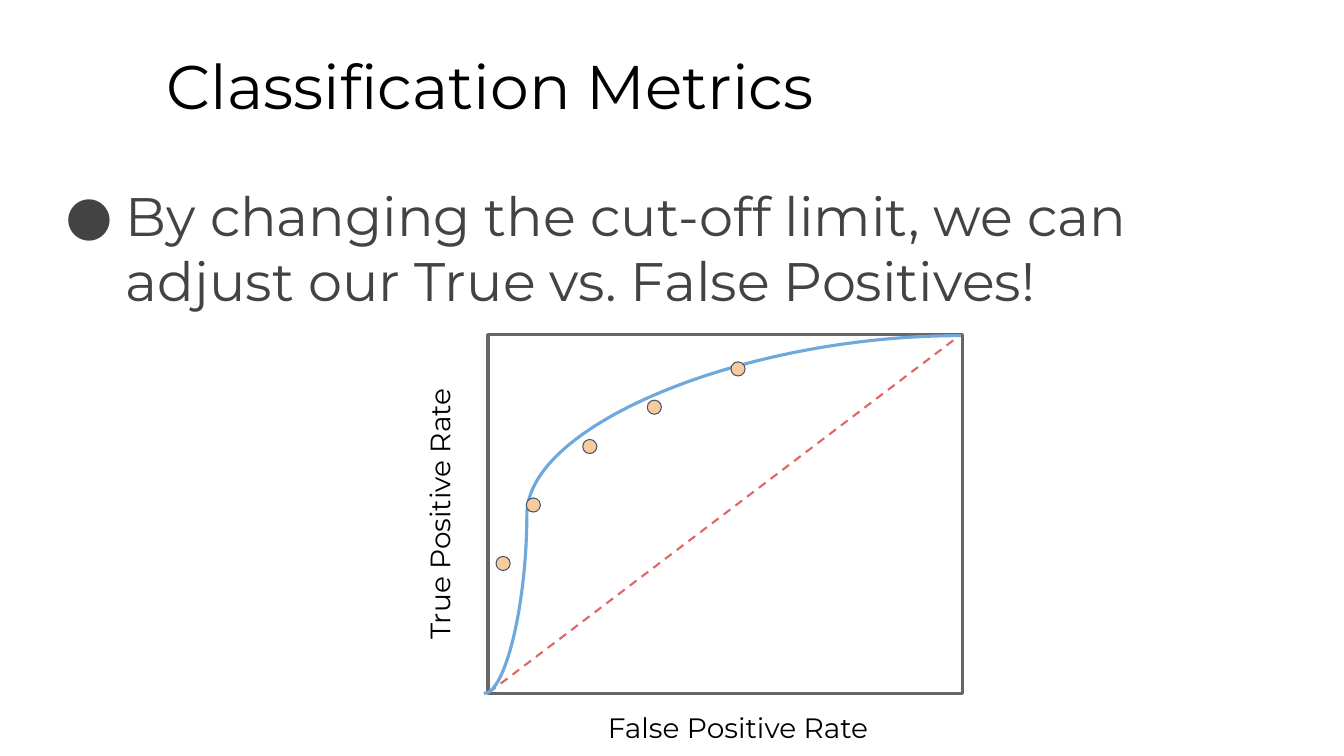
from lxml.etree import SubElement as Sub
from pptx import Presentation
from pptx.dml.color import RGBColor as Rgb
from pptx.enum.dml import MSO_LINE as Dash
from pptx.enum.shapes import MSO_CONNECTOR as Link, MSO_SHAPE as Kind
from pptx.enum.text import MSO_ANCHOR as Anchor, PP_ALIGN as Align
from pptx.oxml.ns import qn
from pptx.util import Inches, Pt

HUES = {
    "black": "000000", "text": "434343", "frame": "666666", "chance": "E06666",
    "curve": "6FA8DC", "dot": "F9CB9C", "edge": "44546A",
}
DOT = 0.14
DOTS = [(4.92, 5.52), (5.22, 4.94), (5.78, 4.36), (6.42, 3.97), (7.25, 3.59)]


def hue(name):
    return Rgb.from_string(HUES[name])


class Deck:
    font = "Montserrat"
    inset = Inches(0.13)

    def __init__(self, wide, high):
        self.prs = Presentation()
        self.prs.slide_width, self.prs.slide_height = Inches(wide), Inches(high)
        self.shapes = self.prs.slides.add_slide(self.prs.slide_layouts[6]).shapes

    def text(self, words, box, size, color="black", align=Align.LEFT,
             turn=0, space=None, bullet=None):
        item = self.shapes.add_textbox(*map(Inches, box))
        item.rotation = turn
        frame = item.text_frame
        frame.word_wrap = True
        frame.vertical_anchor = Anchor.TOP
        frame.margin_left = frame.margin_right = self.inset
        frame.margin_top = frame.margin_bottom = self.inset
        para = frame.paragraphs[0]
        para.alignment = align
        if space:
            para.line_spacing = space
        if bullet:
            self.mark(para, bullet, color)
        run = para.add_run()
        run.text = words
        run.font.name, run.font.size = self.font, Pt(size)
        run.font.color.rgb = hue(color)

    def mark(self, para, sign, color):
        """Give a paragraph a hanging bullet."""
        props = para._p.get_or_add_pPr()
        props.set("marL", str(Inches(0.67)))
        props.set("indent", str(Inches(-0.6)))
        Sub(Sub(props, qn("a:buClr")), qn("a:srgbClr"), val=HUES[color])
        Sub(props, qn("a:buFont"), typeface=self.font)
        Sub(props, qn("a:buChar"), char=sign)

    def shape(self, kind, box, line, width, fill=None):
        item = self.shapes.add_shape(kind, *map(Inches, box))
        item.shadow.inherit = False
        if fill:
            item.fill.solid()
            item.fill.fore_color.rgb = hue(fill)
        else:
            item.fill.background()
        item.line.color.rgb, item.line.width = hue(line), Pt(width)

    def link(self, kind, start, end, color, width, dash=None, bend=None):
        item = self.shapes.add_connector(kind, *map(Inches, start + end))
        item.line.color.rgb, item.line.width = hue(color), Pt(width)
        if dash:
            item.line.dash_style = dash
        props = item._element.spPr
        Sub(props, qn("a:effectLst"))
        if bend is not None:
            guides = props.find(qn("a:prstGeom")).get_or_add_avLst()
            Sub(guides, qn("a:gd"), name="adj1", fmla=f"val {round(bend * 100000)}")


def main():
    deck = Deck(13.33, 7.5)
    deck.text("Classification Metrics", (1.52, 0.43, 11.36, 0.84), 44, space=0.9)
    deck.text("By changing the cut-off limit, we can adjust our True vs. False Positives!",
              (0.45, 1.68, 12.66, 4.98), 38.7, color="text", bullet="●")

    deck.shape(Kind.RECTANGLE, (4.84, 3.32, 4.71, 3.56), "frame", 2.25)
    deck.text("False Positive Rate", (5.48, 6.92, 3.68, 0.5), 20, align=Align.CENTER)
    deck.text("True Positive Rate", (2.47, 4.85, 3.68, 0.5), 20, align=Align.CENTER, turn=270)

    deck.link(Link.STRAIGHT, (4.85, 6.87), (9.53, 3.32), "chance", 1.5, dash=Dash.DASH)
    deck.link(Link.CURVE, (4.8, 6.88), (9.53, 3.33), "curve", 2.25, bend=0.09)
    for left, top in DOTS:
        deck.shape(Kind.OVAL, (left, top, DOT, DOT), "edge", 0.75, fill="dot")

    deck.prs.save("out.pptx")


if __name__ == "__main__":
    main()
